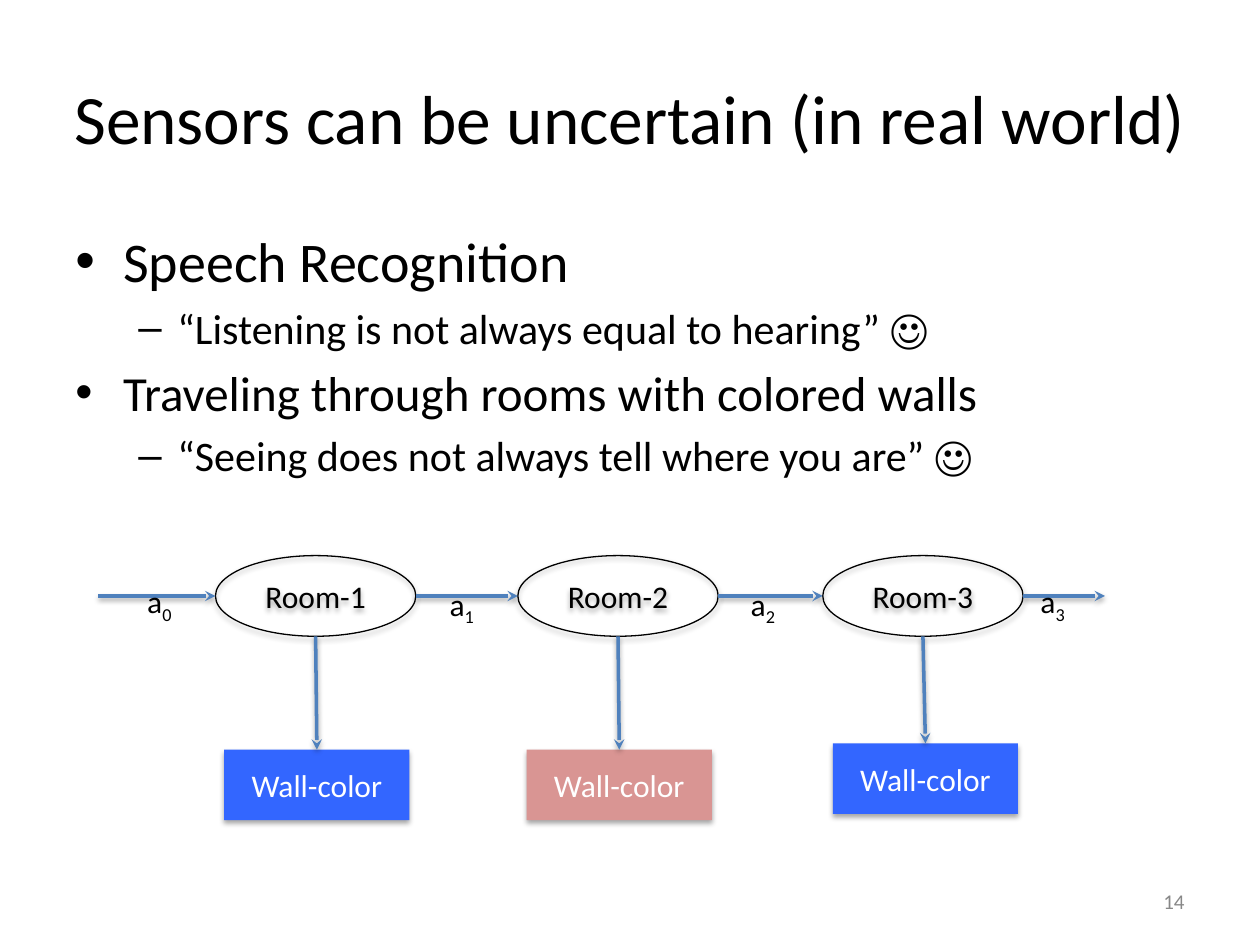
from dataclasses import dataclass

from lxml import etree
from pptx import Presentation
from pptx import util as u
from pptx.dml.color import RGBColor
from pptx.enum import shapes, text
from pptx.oxml.ns import qn


@dataclass(frozen=True)
class Theme:
    font: str = "Calibri"
    black: str = "000000"
    white: str = "FFFFFF"
    gray: str = "888888"
    blue_wall: str = "3366FF"
    red_wall: str = "D99593"
    arrow: str = "4F81BD"
    title_size: float = 39.6
    label_size: float = 18
    number_size: float = 12


THEME = Theme()
ALIGN = text.PP_ALIGN
ANCHOR = text.MSO_ANCHOR

# Room left, room number, wall left, wall top, wall colour
ROOMS = [
    (1.71, 1, 1.78, 5.95, THEME.blue_wall),
    (4.11, 2, 4.18, 5.95, THEME.red_wall),
    (6.53, 3, 6.61, 5.9, THEME.blue_wall),
]
ROOM_TOP, ROOM_WIDTH, ROOM_HEIGHT = 4.41, 1.59, 0.64
WALL_WIDTH, WALL_HEIGHT = 1.47, 0.56
CHAIN_START, CHAIN_END = 0.78, 8.77

# Left and top of the action labels a0 to a3
ACTION_LABELS = [(1.07, 4.57), (3.47, 4.59), (5.86, 4.59), (8.16, 4.57)]

# Text, outline level, type size, space before
BULLETS = [
    ("Speech Recognition", 0, 32, 0),
    ("“Listening is not always equal to hearing” ☺", 1, 24, 4.8),
    ("Traveling through rooms with colored walls", 0, 28, 5.6),
    ("“Seeing does not always tell where you are” ☺", 1, 24, 4.8),
]
# Bullet sign, left margin, hanging indent for each level
LEVELS = [("•", 0.38, -0.38), ("–", 0.81, -0.31)]


def color(value):
    return RGBColor.from_string(value)


def format_runs(paragraph, size, font_color):
    for run in paragraph.runs:
        run.font.name = THEME.font
        run.font.size = u.Pt(size)
        run.font.color.rgb = color(font_color)


def add_text(slide, box, content, size, font_color=THEME.black,
             align=ALIGN.LEFT, anchor=ANCHOR.TOP):
    shape = slide.shapes.add_textbox(*map(u.Inches, box))
    frame = shape.text_frame
    frame.word_wrap = True
    frame.vertical_anchor = anchor
    frame.text = content
    paragraph = frame.paragraphs[0]
    paragraph.alignment = align
    format_runs(paragraph, size, font_color)
    return paragraph


def add_shadow(effects, distance, opacity):
    shadow = etree.SubElement(
        effects, qn("a:outerShdw"), blurRad=str(u.Pt(3.1)),
        dist=str(u.Pt(distance)), dir="5400000", rotWithShape="0")
    shade = etree.SubElement(shadow, qn("a:srgbClr"), val=THEME.black)
    etree.SubElement(shade, qn("a:alpha"), val=str(opacity * 1000))


def add_node(slide, kind, box, label, font_color, fill=None):
    """A labelled shape: filled without a line, or outlined without a fill."""
    shape = slide.shapes.add_shape(kind, *map(u.Inches, box))
    if fill:
        shape.fill.solid()
        shape.fill.fore_color.rgb = color(fill)
        shape.line.fill.background()
    else:
        shape.fill.background()
        shape.line.color.rgb = color(THEME.black)
        shape.line.width = u.Pt(0.75)
    shape.shadow.inherit = False
    add_shadow(shape._element.spPr.find(qn("a:effectLst")), 1.8, 35)
    frame = shape.text_frame
    frame.vertical_anchor = ANCHOR.MIDDLE
    frame.text = label
    frame.paragraphs[0].alignment = ALIGN.CENTER
    format_runs(frame.paragraphs[0], THEME.label_size, font_color)


def add_arrow(slide, start, end):
    connector = slide.shapes.add_connector(
        shapes.MSO_CONNECTOR.STRAIGHT, *map(u.Inches, (*start, *end)))
    connector.line.color.rgb = color(THEME.arrow)
    connector.line.width = u.Pt(2)
    properties = connector._element.spPr
    etree.SubElement(properties.find(qn("a:ln")), qn("a:tailEnd"), type="stealth")
    add_shadow(etree.SubElement(properties, qn("a:effectLst")), 1.6, 37)


def add_bullets(slide, box):
    frame = slide.shapes.add_textbox(*map(u.Inches, box)).text_frame
    frame.word_wrap = True
    frame.text = "\n".join(item[0] for item in BULLETS)
    for paragraph, (_, level, size, space) in zip(frame.paragraphs, BULLETS):
        sign, margin, indent = LEVELS[level]
        paragraph.level = level
        if space:
            paragraph.space_before = u.Pt(space)
        properties = paragraph._p.get_or_add_pPr()
        properties.set("marL", str(u.Inches(margin)))
        properties.set("indent", str(u.Inches(indent)))
        bullet_color = etree.SubElement(properties, qn("a:buClr"))
        etree.SubElement(bullet_color, qn("a:srgbClr"), val=THEME.black)
        etree.SubElement(properties, qn("a:buFont"), typeface="Arial")
        etree.SubElement(properties, qn("a:buChar"), char=sign)
        format_runs(paragraph, size, THEME.black)


def add_action_label(slide, left, top, number):
    paragraph = add_text(slide, (left, top, 0.47, 0.54), "a", THEME.label_size)
    subscript = paragraph.add_run()
    subscript.text = str(number)
    format_runs(paragraph, THEME.label_size, THEME.black)
    subscript.font._element.set("baseline", "-25000")


def add_room_chain(slide):
    # Rooms, walls and the arrows from one to the other
    for left, number, wall_left, wall_top, wall_color in ROOMS:
        add_node(slide, shapes.MSO_SHAPE.OVAL,
                 (left, ROOM_TOP, ROOM_WIDTH, ROOM_HEIGHT),
                 f"Room-{number}", THEME.black)
        add_node(slide, shapes.MSO_SHAPE.RECTANGLE,
                 (wall_left, wall_top, WALL_WIDTH, WALL_HEIGHT),
                 "Wall-color", THEME.white, wall_color)
        add_arrow(slide, (left + ROOM_WIDTH / 2, ROOM_TOP + ROOM_HEIGHT),
                  (wall_left + WALL_WIDTH / 2, wall_top))

    # Action arrows between the rooms
    middle = ROOM_TOP + ROOM_HEIGHT / 2
    lefts = [room[0] for room in ROOMS]
    starts = [CHAIN_START] + [left + ROOM_WIDTH for left in lefts]
    for start, end in zip(starts, lefts + [CHAIN_END]):
        add_arrow(slide, (start, middle), (end, middle))

    # Action names
    for number, (left, top) in enumerate(ACTION_LABELS):
        add_action_label(slide, left, top, number)


def main():
    presentation = Presentation()
    presentation.slide_width = u.Inches(10)
    presentation.slide_height = u.Inches(7.5)
    slide = presentation.slides.add_slide(presentation.slide_layouts[6])

    add_bullets(slide, (0.5, 1.75, 9, 2.36))
    add_text(slide, (7.17, 6.95, 2.33, 0.4), "14", THEME.number_size,
             THEME.gray, ALIGN.RIGHT, ANCHOR.MIDDLE)
    add_room_chain(slide)
    add_text(slide, (0.42, 0.3, 9.16, 1.25),
             "Sensors can be uncertain (in real world)", THEME.title_size,
             align=ALIGN.CENTER, anchor=ANCHOR.MIDDLE)

    presentation.save("out.pptx")


if __name__ == "__main__":
    main()
